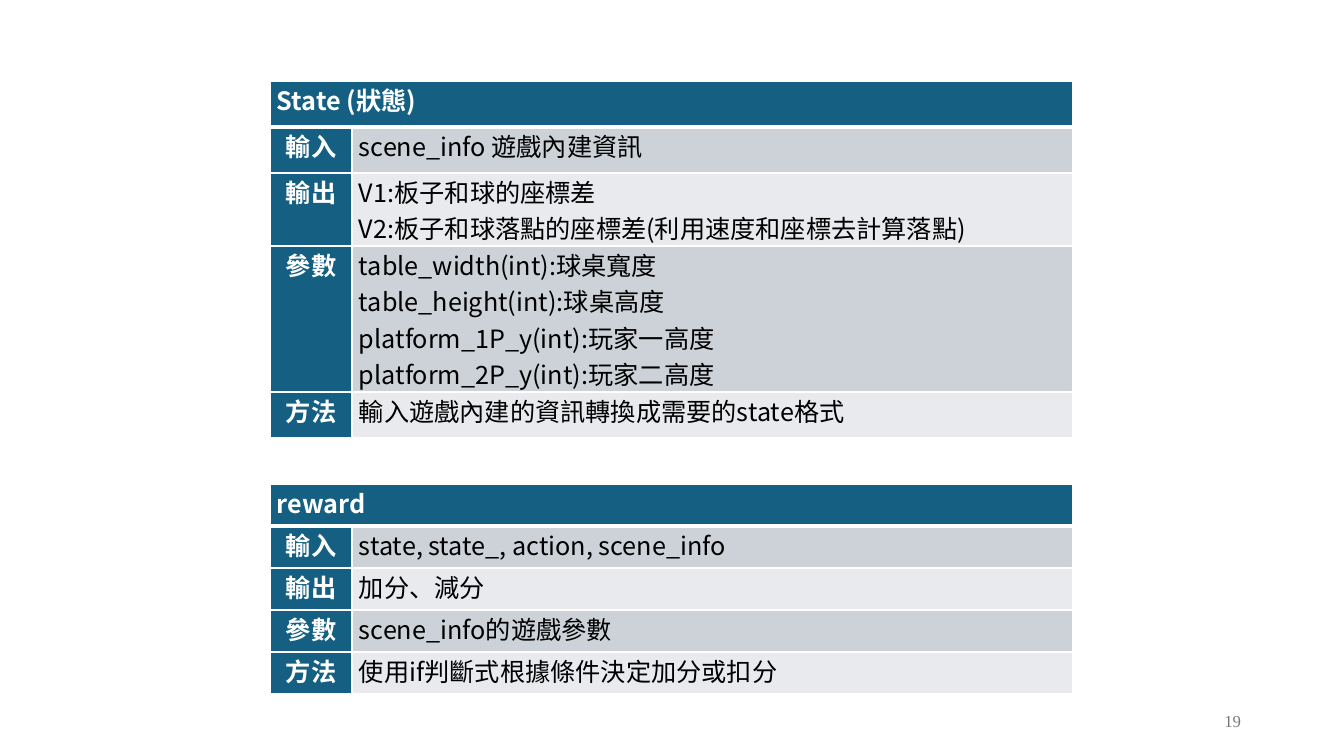
from lxml import etree
from pptx import Presentation
from pptx.dml.color import RGBColor
from pptx.enum.text import MSO_ANCHOR, PP_ALIGN as Align
from pptx.oxml.ns import qn
from pptx.util import Pt

PX = 12192000 / 1344
SLIDE_SIZE = (1344, 756)
TEAL = RGBColor(0x15, 0x60, 0x82)
BAND_DARK = RGBColor(0xCC, 0xD2, 0xD8)
BAND_LIGHT = RGBColor(0xE8, 0xEA, 0xED)
WHITE = RGBColor(0xFF, 0xFF, 0xFF)
BLACK = RGBColor(0, 0, 0)
GRAY = RGBColor(0x79, 0x79, 0x79)
SANS = "Noto Sans CJK SC"
SERIF = "Times New Roman"
LABEL_WIDTH = 82
CELL_INSET = 7

STATE_ROWS = [
    ("輸入", ["scene_info 遊戲內建資訊"]),
    ("輸出", ["V1:板子和球的座標差",
            "V2:板子和球落點的座標差(利用速度和座標去計算落點)"]),
    ("參數", ["table_width(int):球桌寬度",
            "table_height(int):球桌高度",
            "platform_1P_y(int):玩家一高度",
            "platform_2P_y(int):玩家二高度"]),
    ("方法", ["輸入遊戲內建的資訊轉換成需要的state格式"]),
]
REWARD_ROWS = [
    ("輸入", ["state, state_, action, scene_info"]),
    ("輸出", ["加分、減分"]),
    ("參數", ["scene_info的遊戲參數"]),
    ("方法", ["使用if判斷式根據條件決定加分或扣分"]),
]


def px(length):
    return round(length * PX)


def write_text(frame, lines, font=SANS, size=18, color=BLACK, bold=False,
               align=Align.LEFT):
    """Fill a text frame with one paragraph for each line."""
    for index, line in enumerate(lines):
        paragraph = frame.paragraphs[0] if index == 0 else frame.add_paragraph()
        paragraph.alignment = align
        run = paragraph.add_run()
        run.text = line
        run.font.size = Pt(size)
        run.font.bold = bold
        run.font.color.rgb = color
        run.font.name = font
        east_asian = etree.SubElement(run.font._element, qn("a:ea"))
        east_asian.set("typeface", font)


def set_borders(cell, top=1, bottom=1):
    """Draw white borders; must come before the cell's fill."""
    properties = cell._tc.get_or_add_tcPr()
    for side, width in (("L", 1), ("R", 1), ("T", top), ("B", bottom)):
        line = etree.SubElement(properties, qn(f"a:ln{side}"), w=str(Pt(width)))
        fill = etree.SubElement(line, qn("a:solidFill"))
        etree.SubElement(fill, qn("a:srgbClr"), val=str(WHITE))


def format_cell(cell, lines, fill, top=1, bottom=1, **text_format):
    cell.margin_left = cell.margin_right = px(CELL_INSET)
    cell.margin_top = cell.margin_bottom = 0
    set_borders(cell, top, bottom)
    cell.fill.solid()
    cell.fill.fore_color.rgb = fill
    write_text(cell.text_frame, lines, **text_format)


def add_function_table(slide, box, heading, rows, heights):
    """Add a heading row over rows of label and description."""
    left, top, width = box
    frame = slide.shapes.add_table(len(rows) + 1, 2, px(left), px(top),
                                   px(width), px(sum(heights)))
    table = frame.table
    table.first_row = table.horz_banding = False
    table.columns[0].width = px(LABEL_WIDTH)
    table.columns[1].width = px(width - LABEL_WIDTH)
    for row, height in zip(table.rows, heights):
        row.height = px(height)

    table.cell(0, 0).merge(table.cell(0, 1))
    format_cell(table.cell(0, 0), [heading], TEAL, bottom=3,
                color=WHITE, bold=True, align=Align.JUSTIFY)
    set_borders(table.cell(0, 1), bottom=3)
    for number, (label, lines) in enumerate(rows, start=1):
        top_border = 3 if number == 1 else 1
        band = BAND_DARK if number % 2 else BAND_LIGHT
        format_cell(table.cell(number, 0), [label], TEAL, top=top_border,
                    color=WHITE, bold=True, align=Align.CENTER)
        format_cell(table.cell(number, 1), lines, band, top=top_border)


def add_page_number(slide, box, number):
    shape = slide.shapes.add_textbox(*map(px, box))
    shape.text_frame.word_wrap = True
    shape.text_frame.vertical_anchor = MSO_ANCHOR.MIDDLE
    write_text(shape.text_frame, [number], font=SERIF, size=12, color=GRAY,
               align=Align.RIGHT)


def main():
    presentation = Presentation()
    presentation.slide_width, presentation.slide_height = map(px, SLIDE_SIZE)
    slide = presentation.slides.add_slide(presentation.slide_layouts[6])
    add_function_table(slide, (270, 81, 803), "State (狀態)", STATE_ROWS,
                       [46, 46, 73, 146, 46])
    add_function_table(slide, (270, 484, 803), "reward", REWARD_ROWS, [42] * 5)
    add_page_number(slide, (949, 701, 302, 40), "19")
    presentation.save("out.pptx")


if __name__ == "__main__":
    main()
